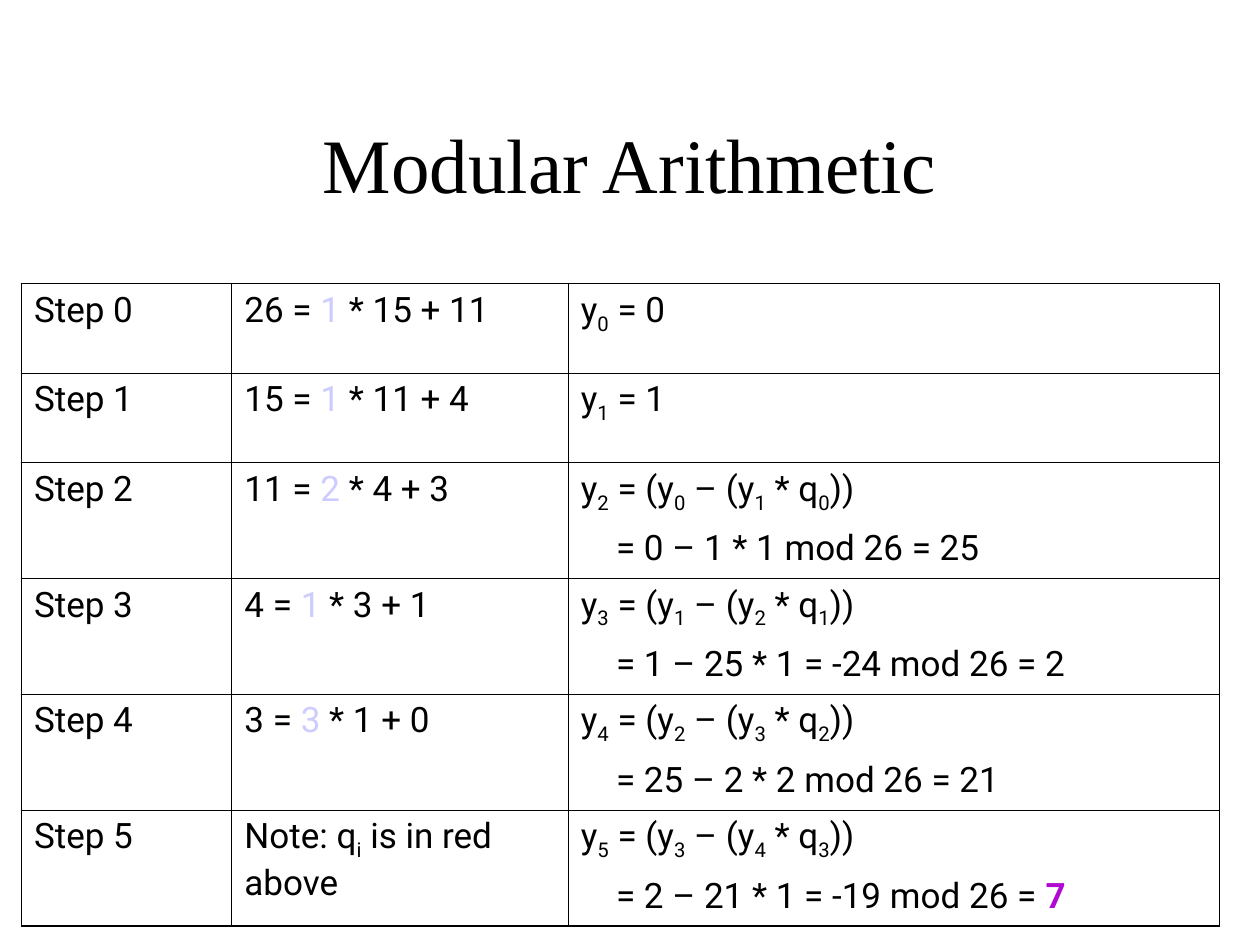
"""Build a slide with a table of the extended Euclidean algorithm for 15 modulo 26."""
from lxml.etree import SubElement
from pptx import Presentation
from pptx.dml.color import RGBColor
from pptx.enum.text import MSO_ANCHOR, PP_ALIGN
from pptx.oxml.ns import qn
from pptx.util import Inches, Pt

BLACK = RGBColor(0x00, 0x00, 0x00)
QUOTIENT = RGBColor(0xCC, 0xCC, 0xFF)
ANSWER = RGBColor(0xB0, 0x09, 0xD1)

TITLE = "Modular Arithmetic"
DIVISIONS = [
    ("26 = ", "1", " * 15 + 11"),
    ("15 = ", "1", " * 11 + 4"),
    ("11 = ", "2", " * 4 + 3"),
    ("4 = ", "1", " * 3 + 1"),
    ("3 = ", "3", " * 1 + 0"),
]
NOTE = [("Note: q", "plain"), ("i", "sub"), (" is in red above", "plain")]
START_VALUES = ["0", "1"]
RESULTS = [
    ("= 0 – 1 * 1 mod 26 = 25", ""),
    ("= 1 – 25 * 1 = -24 mod 26 = 2", ""),
    ("= 25 – 2 * 2 mod 26 = 21", ""),
    ("= 2 – 21 * 1 = -19 mod 26 = ", "7"),
]
COLUMN_WIDTHS = [1.67, 2.67, 5.17]
ROW_HEIGHTS = [0.71] * 2 + [0.92] * 4
OUTER_LINE, INNER_LINE = 1.08, 0.45
RESULT_INDENT = Inches(0.28)


def recurrence(step):
    pieces = ["y", step, " = (y", step - 2, " – (y", step - 1, " * q", step - 2, "))"]
    return [(str(piece), "sub" if isinstance(piece, int) else "plain") for piece in pieces]


def table_rows():
    equations = [
        [(left, "plain"), (quotient, "quotient"), (right, "plain")]
        for left, quotient, right in DIVISIONS
    ] + [NOTE]
    values = [
        [[("y", "plain"), (str(step), "sub"), (f" = {value}", "plain")]]
        for step, value in enumerate(START_VALUES)
    ]
    for step, (working, answer) in enumerate(RESULTS, start=len(START_VALUES)):
        result = [(working, "plain")] + ([(answer, "answer")] if answer else [])
        values.append([recurrence(step), result])
    return [
        ([[(f"Step {step}", "plain")]], [equation], value)
        for step, (equation, value) in enumerate(zip(equations, values))
    ]


def format_run(run, style):
    font = run.font
    font.name, font.size = "Roboto", Pt(20)
    font.color.rgb = {"quotient": QUOTIENT, "answer": ANSWER}.get(style, BLACK)
    if style == "answer":
        font.bold = True
    if style == "sub":
        run._r.get_or_add_rPr().set("baseline", "-25000")


def fill_cell(cell, lines):
    frame = cell.text_frame
    for index, runs in enumerate(lines):
        paragraph = frame.add_paragraph() if index else frame.paragraphs[0]
        paragraph.space_before, paragraph.space_after = Pt(5), Pt(2.5)
        if index:
            paragraph._p.get_or_add_pPr().set("marL", str(RESULT_INDENT))
        for text, style in runs:
            run = paragraph.add_run()
            run.text = text
            format_run(run, style)


def draw_borders(cell, outer_sides):
    properties = cell._tc.get_or_add_tcPr()
    for side, is_outer in outer_sides.items():
        width = OUTER_LINE if is_outer else INNER_LINE
        line = SubElement(properties, qn(f"a:ln{side}"), w=str(Pt(width)))
        fill = SubElement(line, qn("a:solidFill"))
        SubElement(fill, qn("a:srgbClr"), val=str(BLACK))


def add_title(slide):
    title = slide.shapes.title
    title.left, title.top = Inches(0.75), Inches(0.67)
    title.width, title.height = Inches(8.5), Inches(1.25)
    frame = title.text_frame
    frame.text = TITLE
    frame.vertical_anchor = MSO_ANCHOR.MIDDLE
    paragraph = frame.paragraphs[0]
    paragraph.alignment = PP_ALIGN.CENTER
    font = paragraph.runs[0].font
    font.name, font.size, font.color.rgb = "Times New Roman", Pt(44), BLACK


def add_steps_table(slide):
    rows = table_rows()
    last_row, last_column = len(rows) - 1, len(COLUMN_WIDTHS) - 1
    table = slide.shapes.add_table(
        len(rows), len(COLUMN_WIDTHS), Inches(0.17), Inches(2.25),
        Inches(sum(COLUMN_WIDTHS)), Inches(sum(ROW_HEIGHTS)),
    ).table
    table.first_row = table.horz_banding = False
    for column, width in zip(table.columns, COLUMN_WIDTHS):
        column.width = Inches(width)
    for row, height in zip(table.rows, ROW_HEIGHTS):
        row.height = Inches(height)
    for row_index, row in enumerate(rows):
        for column_index, lines in enumerate(row):
            cell = table.cell(row_index, column_index)
            cell.margin_left = cell.margin_right = Inches(0.1)
            cell.margin_top = cell.margin_bottom = Inches(0.05)
            fill_cell(cell, lines)
            draw_borders(cell, {
                "L": column_index == 0,
                "R": column_index == last_column,
                "T": row_index == 0,
                "B": row_index == last_row,
            })
            cell.fill.background()


def main():
    presentation = Presentation()
    presentation.slide_width, presentation.slide_height = Inches(10), Inches(7.5)
    slide = presentation.slides.add_slide(presentation.slide_layouts[5])
    add_title(slide)
    add_steps_table(slide)
    presentation.save("out.pptx")


if __name__ == "__main__":
    main()
